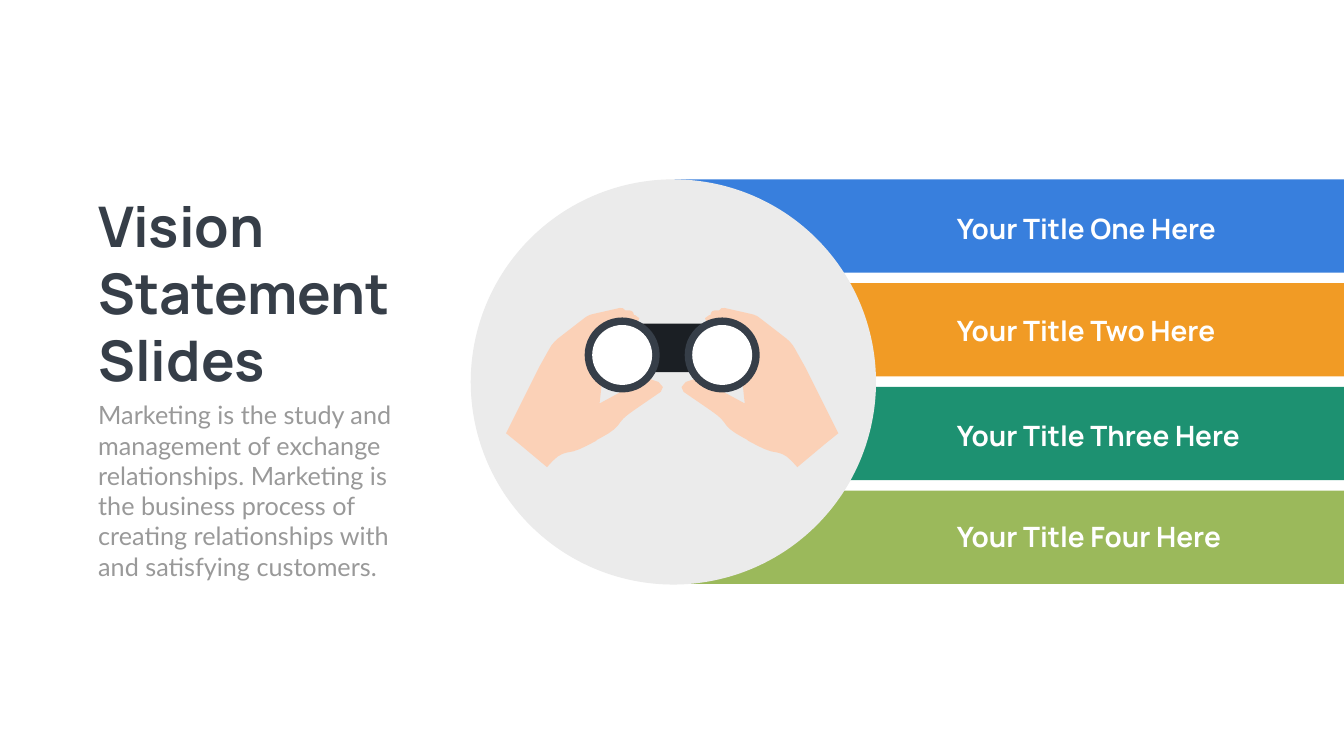
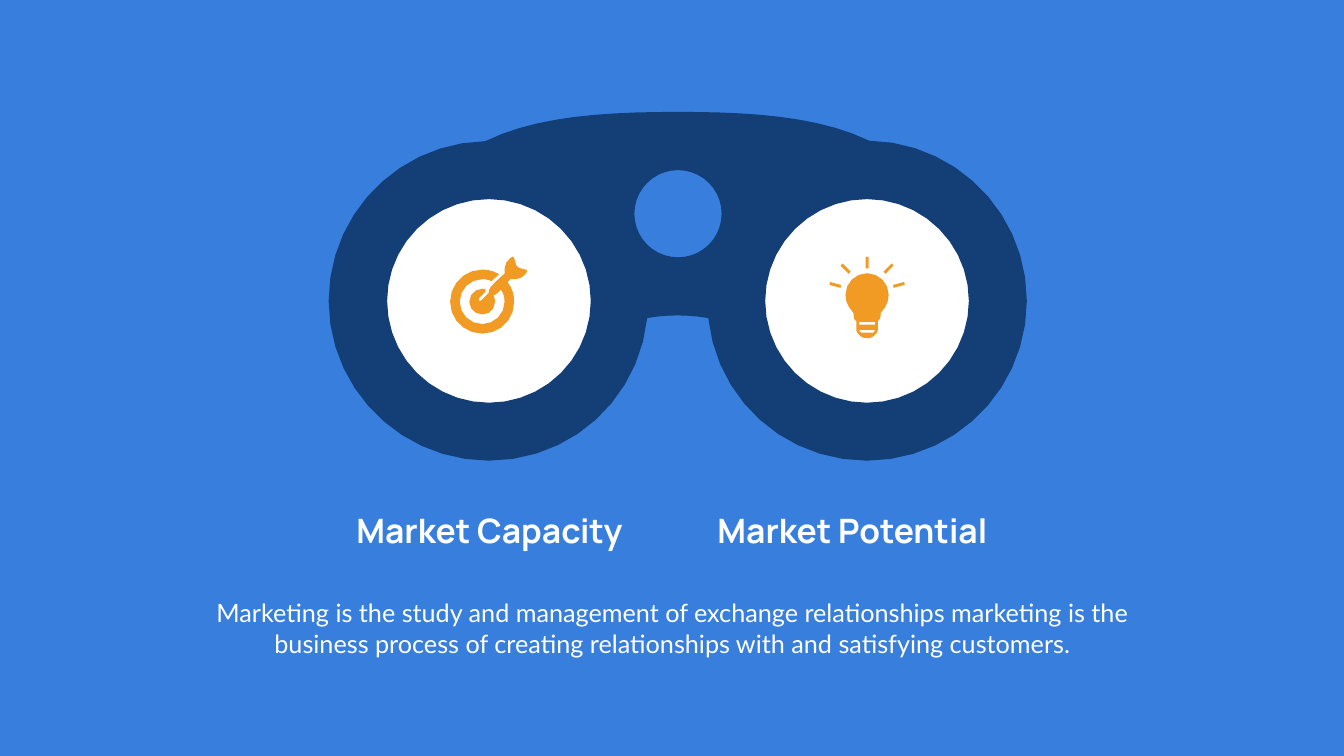
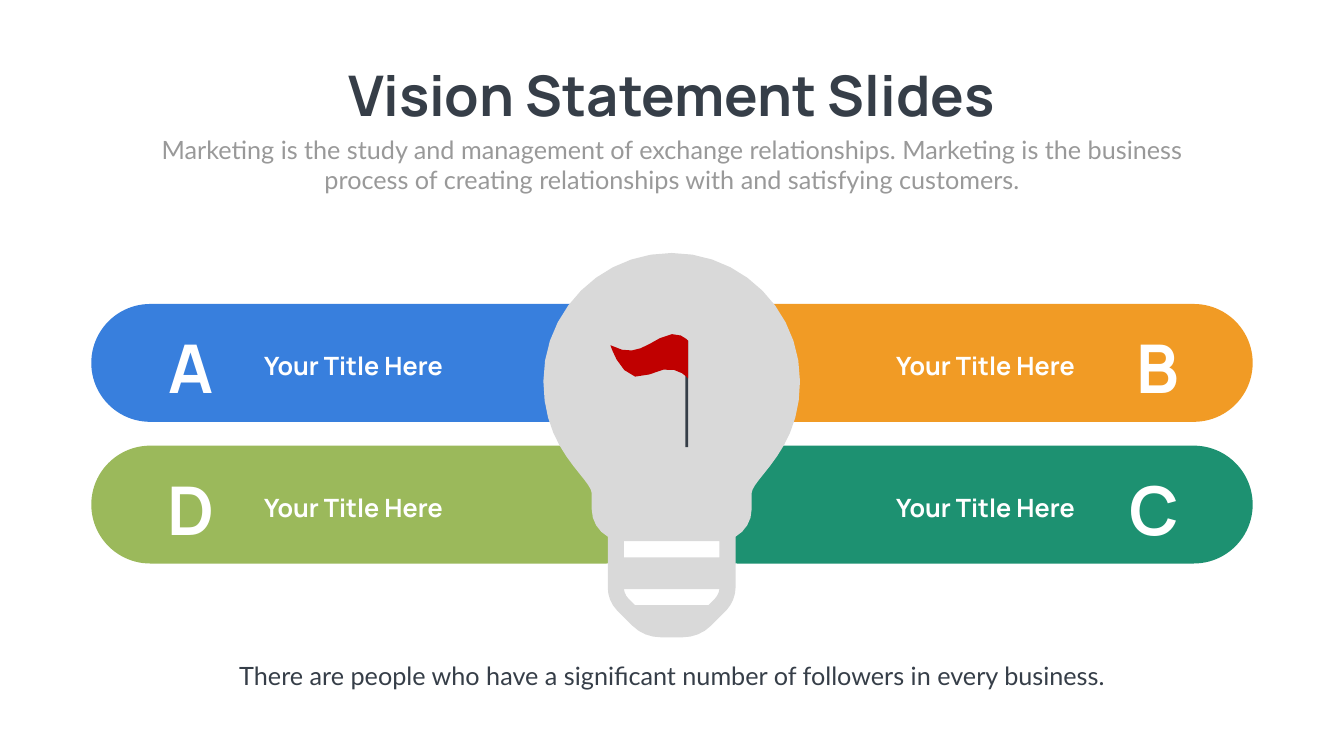
import math

import pptx
import pptx.dml.color
import pptx.enum.shapes
import pptx.enum.text
import pptx.util

Cm = pptx.util.Cm
Pt = pptx.util.Pt
RGB = pptx.dml.color.RGBColor
SHAPE = pptx.enum.shapes.MSO_SHAPE
ALIGN = pptx.enum.text.PP_ALIGN

BLUE = RGB(0x38, 0x7F, 0xDD)
ORANGE = RGB(0xF1, 0x9B, 0x25)
TEAL = RGB(0x1D, 0x91, 0x71)
GREEN = RGB(0x9B, 0xB9, 0x5B)
NAVY = RGB(0x14, 0x3E, 0x76)
RED = RGB(0xC0, 0x00, 0x00)
SLATE = RGB(0x36, 0x3E, 0x48)
BLACK = RGB(0x1B, 0x1F, 0x24)
SKIN = RGB(0xFB, 0xD1, 0xB7)
GREY = RGB(0x99, 0x99, 0x99)
MID_GREY = RGB(0xD9, 0xD9, 0xD9)
LIGHT_GREY = RGB(0xEB, 0xEB, 0xEB)
WHITE = RGB(0xFF, 0xFF, 0xFF)

SLIDE_W, SLIDE_H = 67.72, 38.1
TITLE_ONLY, BLANK = 5, 6


def heading(size, color=WHITE):
    return {"name": "Manrope", "size": Pt(size), "bold": True}, color


def body(color):
    return {"name": "Lato", "size": Pt(36), "bold": False}, color


TITLE = heading(80, SLATE)


def circle(cx, cy, r, n=40):
    angles = (2 * math.pi * i / n for i in range(n))
    return [(cx + r * math.cos(a), cy + r * math.sin(a)) for a in angles]


# An outline is a list of contours; two numbers are a corner, six a Bézier curve.
HAND = [[
    (266, 145), (185, 189), (201, 43), (220, 34), (224, 34, 228, 33, 232, 32),
    (249, 35), (259, 37, 273, 15, 255, 14), (253, 14),
    (253, 13, 252, 12, 252, 11), (252, 10), (251, 7, 248, 5, 245, 5),
    (236, 5), (234, 1, 229, -1, 225, 0), (172, 12),
    (166, 13, 160, 16, 155, 20), (102, 61), (95, 67, 89, 74, 85, 82),
    (66, 116), (0, 248), (26, 269), (81, 315),
    (92, 302, 103, 292, 109, 290), (113, 288, 117, 287, 121, 286),
    (138, 284, 150, 278, 178, 263), (180, 261), (189, 256),
    (210, 245, 220, 236, 226, 226), (236, 213, 239, 212, 306, 166),
    (322, 156, 292, 131, 266, 145),
]]
BINOCULARS = [
    [(1072, 57), (969, 7, 829, 0, 693, 0), (555, 0, 414, 7, 311, 58),
     (139, 61, 0, 202, 0, 375), (0, 550, 143, 692, 318, 692),
     (481, 692, 615, 570, 632, 409), (673, 402, 712, 402, 753, 409),
     (770, 570, 904, 692, 1068, 692), (1243, 692, 1385, 550, 1385, 375),
     (1385, 201, 1245, 60, 1072, 57)],
    circle(318, 375, 202), circle(693, 202, 86.5), circle(1068, 375, 202),
]
BULB = [
    [(255, 0), (395, 0, 510, 114, 510, 255), (510, 351, 466, 404, 438, 439),
     (425, 455, 414, 469, 414, 477), (414, 509),
     (414, 533, 401, 553, 382, 564), (382, 665),
     (382, 681, 375, 698, 364, 710), (333, 741),
     (318, 756, 298, 764, 276, 764), (234, 764),
     (212, 764, 192, 756, 177, 741), (146, 710),
     (134, 698, 128, 681, 128, 665), (128, 564),
     (109, 553, 96, 533, 96, 509), (96, 477), (96, 469, 85, 455, 72, 439),
     (44, 404, 0, 351, 0, 255), (0, 114, 115, 0, 255, 0)],
    [(160, 573), (160, 605), (350, 605), (350, 573)],
    [(160, 668), (161, 675, 164, 682, 169, 687), (182, 700), (328, 700),
     (341, 687), (346, 682, 349, 675, 350, 668)],
]
TARGET = [[
    (153, 28), (152, 27, 151, 26, 150, 26), (144, 25, 135, 23, 133, 20),
    (131, 18, 128, 9, 127, 3), (126, 1), (123, 1),
    (122, 1, 108, 10, 108, 23), (108, 34),
    (94, 46, 77, 62, 77, 67), (77, 71), (76, 73), (62, 87),
    (59, 88), (57, 87), (57, 83), (70, 70), (70, 65),
    (68, 64, 66, 64, 64, 64),
    (50, 64, 38, 75, 38, 90), (38, 104, 50, 115, 64, 115),
    (78, 115, 89, 104, 89, 90), (89, 85, 88, 81, 86, 77),
    (89, 77, 95, 72, 101, 66), (106, 73, 108, 81, 108, 90),
    (108, 114, 88, 134, 64, 134), (39, 134, 19, 114, 19, 90),
    (19, 65, 39, 45, 64, 45), (70, 45, 76, 46, 82, 49),
    (86, 45, 91, 41, 97, 35), (87, 29, 76, 26, 64, 26),
    (29, 26, 0, 54, 0, 90), (0, 125, 29, 153, 64, 153),
    (99, 153, 127, 125, 127, 90), (127, 76, 123, 62, 114, 51),
    (119, 45), (131, 45), (144, 45, 152, 31, 152, 31),
]]
FLAG = [[
    (154, 13), (154, 13, 134, -13, 98, 8), (62, 28, 42, 44, 0, 22),
    (0, 22, 25, 107, 77, 80), (129, 53, 154, 88, 154, 88),
]]


def flatten(contour, unit):
    """Turn corners and curves into points; unit is the drawn size of 1 in cm."""
    pts = []
    for node in contour:
        if len(node) == 2:
            pts.append(node)
            continue
        knots = (pts[-1], node[:2], node[2:4], node[4:])
        steps = math.ceil(3 * math.sqrt(math.dist(knots[0], knots[3]) * unit))
        for i in range(1, steps + 1):
            t = i / steps
            weights = ((1 - t) ** 3, 3 * t * (1 - t) ** 2,
                       3 * t * t * (1 - t), t ** 3)
            pts.append(tuple(sum(w * k[axis] for w, k in zip(weights, knots))
                             for axis in (0, 1)))
    return pts


def paint(sp, color):
    sp.shadow.inherit = False
    sp.fill.solid()
    sp.fill.fore_color.rgb = color
    sp.line.fill.background()
    return sp


def add_outline(shapes, outline, left, top, width, color, mirror=False):
    """Draw an outline scaled to the given width, holes included."""
    ends = [node[-2] for c in outline for node in c]
    unit = width / (max(ends) - min(ends))
    contours = [flatten(c, unit) for c in outline]
    xs = [x for c in contours for x, _ in c]
    y0 = min(y for c in contours for _, y in c)
    scale = Cm(width) / (max(xs) - min(xs))
    fb = None
    for contour in contours:
        pts = [(Cm(left) + scale * (max(xs) - x if mirror else x - min(xs)),
                Cm(top) + scale * (y - y0)) for x, y in contour]
        if fb is None:
            fb = shapes.build_freeform(*pts[0])
        else:
            fb.move_to(*pts[0])
        fb.add_line_segments(pts[1:], close=True)
    return paint(fb.convert_to_shape(), color)


def add_box(shapes, kind, left, top, width, height, color):
    sp = shapes.add_shape(kind, Cm(left), Cm(top), Cm(width), Cm(height))
    return paint(sp, color)


def write(sp, text, style, align):
    font, color = style
    tf = sp.text_frame
    frame = {"word_wrap": True,
             "auto_size": pptx.enum.text.MSO_AUTO_SIZE.SHAPE_TO_FIT_TEXT,
             "vertical_anchor": pptx.enum.text.MSO_ANCHOR.TOP}
    for key, value in frame.items():
        setattr(tf, key, value)
    p = tf.paragraphs[0]
    p.alignment = align
    r = p.add_run()
    r.text = text
    for key, value in font.items():
        setattr(r.font, key, value)
    r.font.color.rgb = color


def add_text(shapes, text, left, top, width, height, style, align=ALIGN.LEFT):
    sp = shapes.add_textbox(Cm(left), Cm(top), Cm(width), Cm(height))
    write(sp, text, style, align)


def set_title(s, text, left, top, width, height, align=ALIGN.LEFT):
    sp = s.shapes.title
    place = {"left": left, "top": top, "width": width, "height": height}
    for key, value in place.items():
        setattr(sp, key, Cm(value))
    write(sp, text, TITLE, align)


def new_slide(prs, layout):
    return prs.slides.add_slide(prs.slide_layouts[layout])


def held_binoculars(s, left, top, width):
    shapes = s.shapes.add_group_shape().shapes
    hand_w, barrel, barrel_x, rim = 7.9, 3.78, 3.96, 0.38
    add_box(shapes, SHAPE.RECTANGLE, left + 5.59, top + 0.79, 5.05, 2.45, BLACK)
    for mirror in (False, True):
        hand_x = left + (width - hand_w if mirror else 0)
        x = left + (width - barrel_x - barrel if mirror else barrel_x)
        y = top + 0.48
        add_outline(shapes, HAND, hand_x, top, hand_w, SKIN, mirror)
        add_box(shapes, SHAPE.OVAL, x, y, barrel, barrel, SLATE)
        lens = barrel - 2 * rim
        add_box(shapes, SHAPE.OVAL, x + rim, y + rim, lens, lens, WHITE)


def title_bands(s, left, top, width):
    height, pitch = 4.7, 5.23
    bands = [("Your Title One Here", BLUE, 1.5),
             ("Your Title Two Here", ORANGE, 1.42),
             ("Your Title Three Here", TEAL, 1.47),
             ("Your Title Four Here", GREEN, 1.32)]
    for i, (text, color, text_y) in enumerate(bands):
        y = top + i * pitch
        add_box(s.shapes, SHAPE.RECTANGLE, left, y, width, height, color)
        add_text(s.shapes, text, left + 13.97, y + text_y, 16.18, 1.96,
                 heading(40))


def bands_slide(prs):
    s = new_slide(prs, TITLE_ONLY)
    set_title(s, "Vision Statement Slides", 4.7, 9.5, 16.74, 10.52)
    add_text(s.shapes, "Marketing is the study and management of exchange "
             "relationships. Marketing is the business process of creating "
             "relationships with and satisfying customers.",
             4.7, 20.02, 16.74, 9.5, body(GREY))
    title_bands(s, 33.99, 9.04, SLIDE_W - 33.99)
    add_box(s.shapes, SHAPE.OVAL, 23.72, 9.04, 20.42, 20.42, LIGHT_GREY)
    held_binoculars(s, 25.5, 15.52, 16.74)


def shining_bulb(s, center, top):
    shapes = s.shapes.add_group_shape().shapes
    width, ray_w, ray_h = 2.18, 0.15, 0.58
    add_outline(shapes, BULB, center - width / 2, top + 0.82, width, ORANGE)
    rays = [(0, 0, 0), (45, 1.08, 0.3), (-45, -1.08, 0.3),
            (-75, -1.6, 1.12), (75, 1.6, 1.12)]
    for angle, dx, dy in rays:
        ray = add_box(shapes, SHAPE.RECTANGLE, center + dx - ray_w / 2,
                      top + dy, ray_w, ray_h, ORANGE)
        ray.rotation = angle


def big_binoculars(s, left, top, width):
    lens, lens_x, lens_y = 11.94, 2.08, 3.55
    left_lens, right_lens = left + lens_x, left + width - lens_x - lens
    icon_y = top + lens_y + 3.76
    for x in (left_lens, right_lens):
        add_box(s.shapes, SHAPE.OVAL, x, top + lens_y, lens, lens, WHITE)
    add_outline(s.shapes, TARGET, left_lens + 4.04, icon_y, 3.89, ORANGE)
    shining_bulb(s, right_lens + lens / 2, icon_y)
    add_outline(s.shapes, BINOCULARS, left, top, width, NAVY)


def market_slide(prs):
    s = new_slide(prs, BLANK)
    add_box(s.shapes, SHAPE.RECTANGLE, 0, 0, SLIDE_W, SLIDE_H, BLUE)
    big_binoculars(s, 16.56, 5.64, 35.18)
    for text, x in (("Market Capacity", 15.87), ("Market Potential", 34.16)):
        add_text(s.shapes, text, x, 25.58, 17.58, 2.31, heading(48),
                 ALIGN.CENTER)
    add_text(s.shapes, "Marketing is the study and management of exchange "
             "relationships marketing is the business process of creating "
             "relationships with and satisfying customers.",
             10.06, 30, 47.63, 3.33, body(WHITE), ALIGN.CENTER)


def pill(s, left, top, letter, color, on_right):
    sp = add_box(s.shapes, SHAPE.ROUNDED_RECTANGLE, left, top, 28.93, 5.94, color)
    sp.adjustments[0] = 0.5
    label_x, letter_x = (8.59, 21.84) if on_right else (8.46, 3.2)
    add_text(s.shapes, "Your Title Here", left + label_x, top + 2.21, 11.63,
             1.68, heading(36), ALIGN.RIGHT if on_right else ALIGN.LEFT)
    add_text(s.shapes, letter, left + letter_x, top + 1, 3.61, 4.09,
             heading(96), ALIGN.RIGHT if on_right else ALIGN.CENTER)


def bulb_with_flag(s, left, top, width):
    add_box(s.shapes, SHAPE.RECTANGLE, left + 3.63, top + 12.93, 5.54, 3.94, WHITE)
    add_outline(s.shapes, BULB, left, top, width, MID_GREY)
    flag = s.shapes.add_group_shape().shapes
    add_box(flag, SHAPE.RECTANGLE, left + 7.16, top + 4.42, 0.13, 5.36, SLATE)
    add_outline(flag, FLAG, left + 3.38, top + 4.09, 3.91, RED)


def bulb_slide(prs):
    s = new_slide(prs, TITLE_ONLY)
    set_title(s, "Vision Statement Slides", 16.28, 2.9, 35.15, 3.68,
              ALIGN.CENTER)
    add_text(s.shapes, "Marketing is the study and management of exchange "
             "relationships. Marketing is the business process of creating "
             "relationships with and satisfying customers.",
             7.42, 6.63, 52.88, 3.33, body(GREY), ALIGN.CENTER)
    pills = [("A", BLUE, 0, 0), ("D", GREEN, 0, 1),
             ("B", ORANGE, 1, 0), ("C", TEAL, 1, 1)]
    for letter, color, col, row in pills:
        pill(s, (4.6, 34.19)[col], 15.32 + row * 7.14, letter, color, col == 1)
    bulb_with_flag(s, 27.38, 12.75, 12.93)
    add_text(s.shapes, "There are people who have a significant number of "
             "followers in every business.",
             9.78, 33.15, 48.16, 1.8, body(SLATE), ALIGN.CENTER)


def main():
    prs = pptx.Presentation()
    prs.slide_width, prs.slide_height = Cm(SLIDE_W), Cm(SLIDE_H)
    bands_slide(prs)
    market_slide(prs)
    bulb_slide(prs)
    prs.save("out.pptx")


if __name__ == "__main__":
    main()
